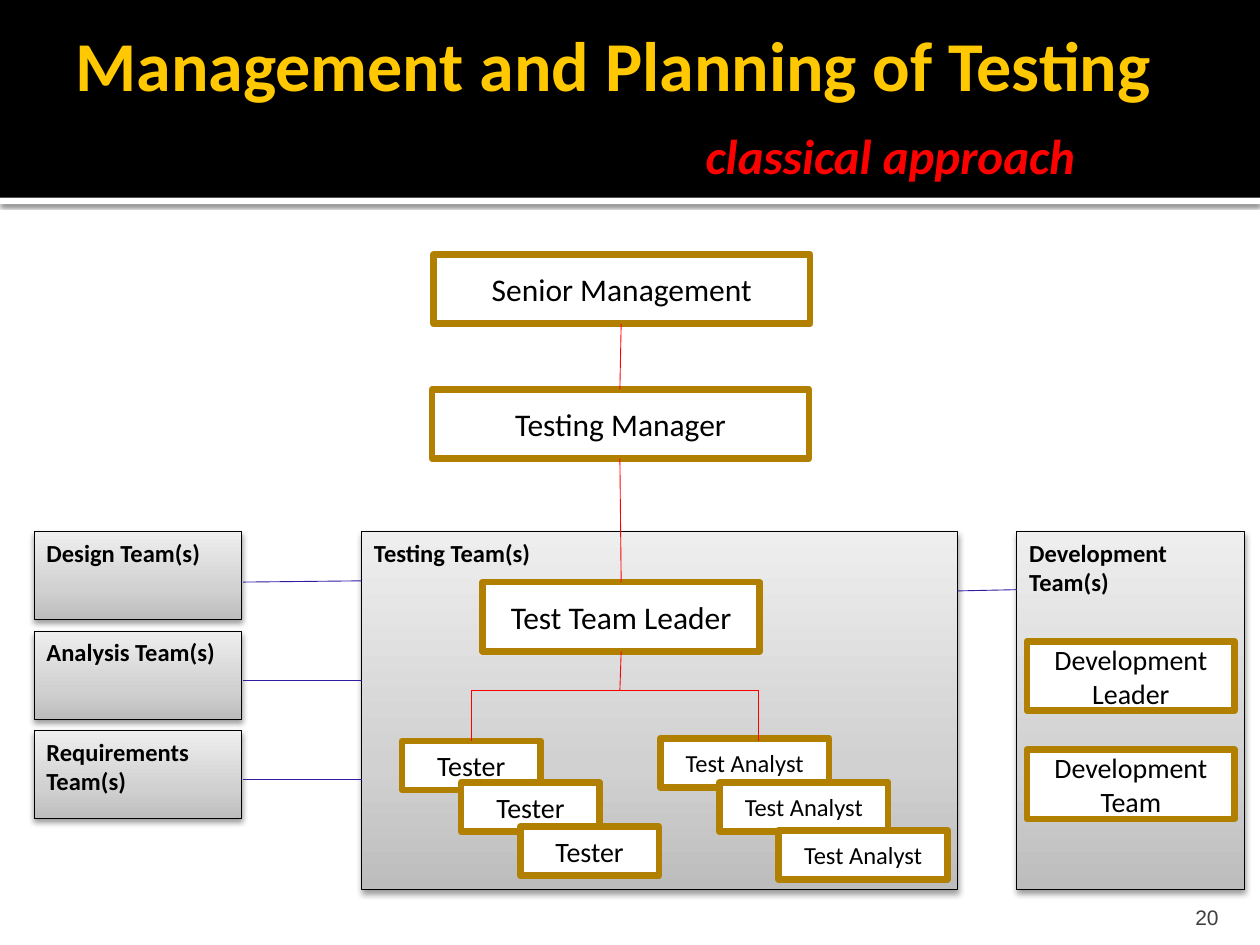
import copy
import pptx
import pptx.util
import pptx.dml.color
import pptx.enum.shapes
import pptx.enum.text
import pptx.oxml
import pptx.oxml.ns
import pptx.oxml.xmlchemy

Pt = pptx.util.Pt
qn = pptx.oxml.ns.qn
Align = pptx.enum.text.PP_ALIGN
Anchor = pptx.enum.text.MSO_ANCHOR

deck = pptx.Presentation()
deck.slide_width = pptx.util.Inches(10)
deck.slide_height = pptx.util.Inches(7.5)
col = deck.slide_width // 100
row = deck.slide_height // 75
slide = deck.slides.add_slide(deck.slide_layouts[5])
shapes = slide.shapes


def paint(item, code):
    item.rgb = pptx.dml.color.RGBColor.from_string(code)


def write(para, text, size=18, font="Calibri", color="000000", bold=False,
          slant=False, align=Align.LEFT):
    para.alignment = align
    run = para.add_run()
    run.text = text
    run.font.size = Pt(size)
    run.font.name = font
    run.font.bold = bold
    run.font.italic = slant
    paint(run.font.color, color)


shade = (
    '<a:effectLst xmlns:a="http://schemas.openxmlformats.org/drawingml/2006/main">'
    '<a:outerShdw blurRad="{}" dist="{}" dir="5400000" rotWithShape="0">'
    '<a:srgbClr val="000000"><a:alpha val="{}"/></a:srgbClr>'
    '</a:outerShdw></a:effectLst>'
)
rect = pptx.enum.shapes.MSO_SHAPE.RECTANGLE

strip = shapes.add_shape(rect, 0, int(15.7 * row), deck.slide_width, row // 2)
band = shapes.add_shape(rect, 0, 0, deck.slide_width, int(15.7 * row))
for bar, code in [(strip, "FFFFFF"), (band, "000000")]:
    bar.fill.solid()
    paint(bar.fill.fore_color, code)
    bar.line.fill.background()
band.shadow.inherit = False
strip._element.spPr.append(pptx.oxml.parse_xml(shade.format(Pt(2.5), Pt(0.8), 60000)))

panels = [
    ("Development Team(s)", 80.7, 42.2, 18.1, 28.4),
    ("Testing Team(s)", 28.7, 42.2, 47.3, 28.4),
]
teams = ["Design Team(s)", "Analysis Team(s)", "Requirements Team(s)"]
for i, name in enumerate(teams):
    panels.append((name, 2.7, 42.2 + 7.9 * i, 16.5, 7))

for name, x, y, w, h in panels:
    panel = shapes.add_shape(rect, int(x * col), int(y * row), int(w * col), int(h * row))
    panel.fill.gradient()
    panel.fill.gradient_angle = 90
    stops = panel._element.spPr.find(qn("a:gradFill")).find(qn("a:gsLst"))
    stops.append(copy.deepcopy(stops[1]))
    tones = [(0, "BDBDBD"), (0.35, "D1D1D1"), (1, "EEEEEE")]
    for stop, (place, code) in zip(panel.fill.gradient_stops, tones):
        stop.position = place
        paint(stop.color, code)
    paint(panel.line.color, "000000")
    panel.line.width = Pt(0.5)
    panel._element.spPr.append(pptx.oxml.parse_xml(shade.format(Pt(3.5), Pt(2), 38000)))
    panel.text_frame.vertical_anchor = Anchor.TOP
    write(panel.text_frame.paragraphs[0], name, size=14, bold=True)

title = shapes.title
shapes._spTree.append(title._element)
title.left, title.top = 5 * col, int(1.7 * row)
title.width, title.height = 95 * col, int(13.7 * row)
frame = title.text_frame
frame.word_wrap = True
frame.auto_size = pptx.enum.text.MSO_AUTO_SIZE.NONE
frame.vertical_anchor = Anchor.TOP
frame.margin_left, frame.margin_right = col, col // 2
frame.margin_top = frame.margin_bottom = 0
write(frame.paragraphs[0], "Management and Planning of Testing", size=40,
      color="FFC800", bold=True)
sub = frame.add_paragraph()
sub.space_before = Pt(11.4)
sub._p.get_or_add_pPr().set("marL", str(50 * col))
write(sub, "classical approach", size=28, color="FF0000", bold=True, slant=True)

page = shapes.add_textbox(int(89.7 * col), int(70.8 * row), 8 * col, 3 * row)
page.text_frame.word_wrap = True
page.text_frame.vertical_anchor = Anchor.BOTTOM
page.text_frame.margin_bottom = 0
write(page.text_frame.paragraphs[0], "20", size=12, font="Arial", color="3F3F3F",
      align=Align.RIGHT)

roles = [
    ("Senior Management", 34.4, 20.2, 29.9, 5.5, 18),
    ("Testing Manager", 34.3, 30.9, 29.9, 5.5, 18),
    ("Test Team Leader", 38.3, 46.2, 22, 5.5, 18),
    ("Development Leader", 81.5, 50.9, 16.5, 5.5, 16),
    ("Development Team", 81.5, 59.5, 16.5, 5.5, 16),
]
stacks = [
    ("Tester", 31.9, [58.8, 62.1, 65.6], 11, 16),
    ("Test Analyst", 52.4, [58.6, 62.1, 65.9], 13.4, 14),
]
for name, x, tops, w, size in stacks:
    for i, y in enumerate(tops):
        roles.append((name, x + 4.7 * i, y, w, 3.9, size))

for name, x, y, w, h, size in roles:
    box = shapes.add_shape(rect, int(x * col), int(y * row), int(w * col), int(h * row))
    box.shadow.inherit = False
    box.fill.solid()
    paint(box.fill.fore_color, "FFFFFF")
    paint(box.line.color, "B28000")
    box.line.width = Pt(3.78)
    box.text_frame.vertical_anchor = Anchor.MIDDLE
    write(box.text_frame.paragraphs[0], name, size=size, align=Align.CENTER)

red, blue = "FF0000", "2D1DA3"
links = [
    (49.3, 25.7, 49.2, 30.9, red),
    (49.2, 36.4, 49.3, 46.2, red),
    (49.3, 51.7, 49.2, 54.8, red),
    (37.4, 54.8, 60.2, 54.8, red),
    (37.4, 54.8, 37.4, 58.8, red),
    (60.2, 54.8, 60.2, 58.8, red),
    (76, 46.9, 80.7, 46.8, blue),
    (28.7, 46.1, 19.3, 46.2, blue),
    (28.7, 54, 19.3, 54, blue),
    (28.7, 61.9, 19.3, 61.9, blue),
]
for x, y, to_x, to_y, code in links:
    link = shapes.add_connector(
        pptx.enum.shapes.MSO_CONNECTOR.STRAIGHT,
        int(x * col), int(y * row), int(to_x * col), int(to_y * row))
    paint(link.line.color, code)
    link.line.width = Pt(0.5)
    link._element.spPr.append(pptx.oxml.xmlchemy.OxmlElement("a:effectLst"))

deck.save("out.pptx")
